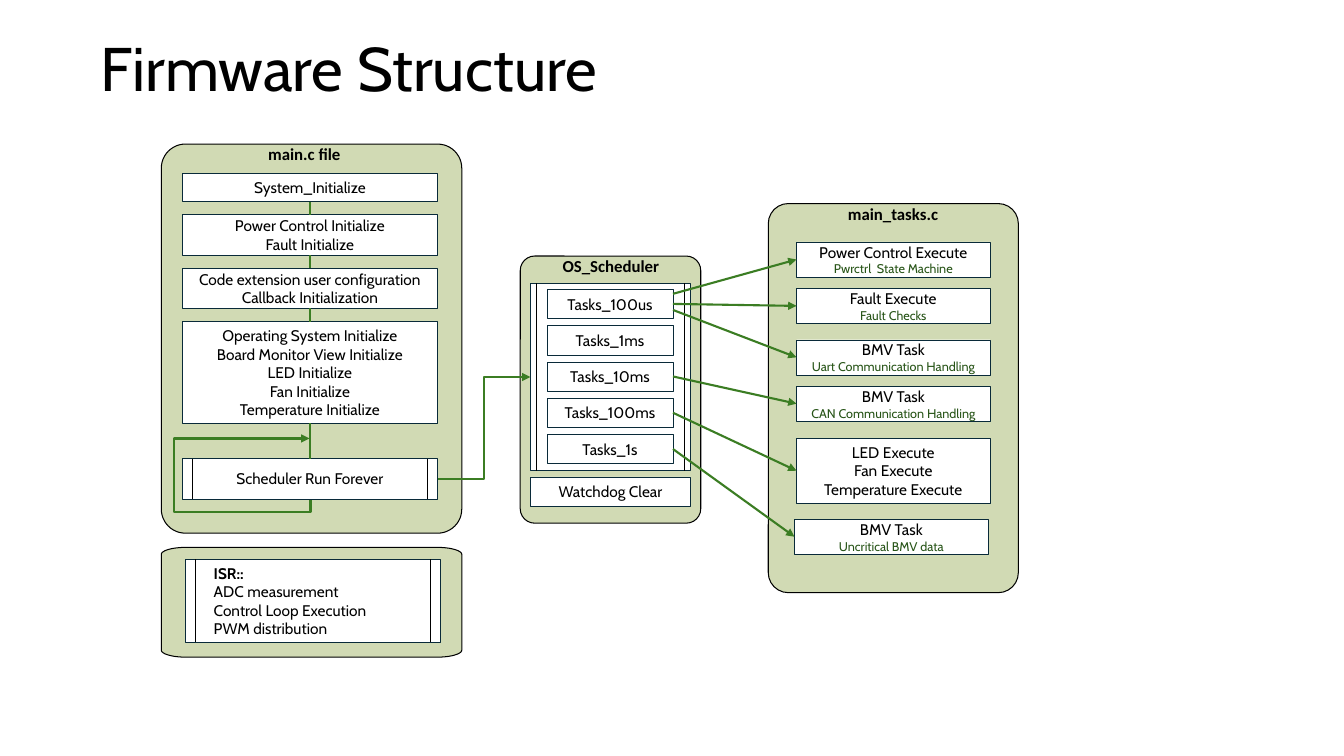
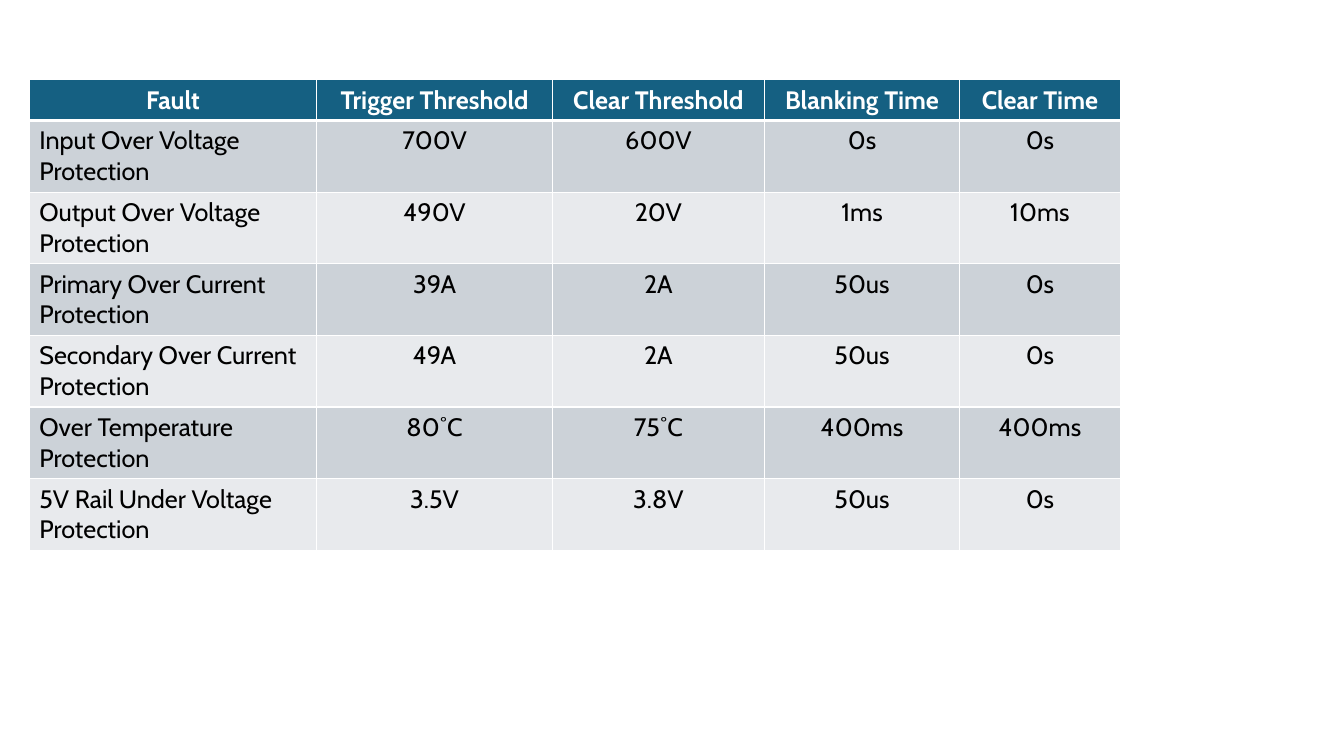
from collections import namedtuple
from itertools import pairwise
from math import cos, pi, sin

from lxml.etree import SubElement as Sub
from pptx import Presentation
from pptx.dml.color import RGBColor as RGB
from pptx.enum.shapes import MSO_CONNECTOR as Wire
from pptx.enum.shapes import MSO_SHAPE as Form
from pptx.enum.text import MSO_ANCHOR as Anchor
from pptx.enum.text import PP_ALIGN as Align
from pptx.oxml.ns import qn
from pptx.util import Inches as In
from pptx.util import Pt

Theme = namedtuple(
    "Theme",
    "black white panel edge green note head bands font label big cell name body small",
)
T = Theme(
    black="000000", white="FFFFFF", panel="D1DAB4", edge="092A39",
    green="3B7D23", note="275417", head="156082", bands=("CCD2D8", "E8EAED"),
    font="Cabin", label="Calibri", big=44, cell=18, name=12, body=11, small=9,
)
SUB = {"size": T.small, "color": T.note}


def write(frame, lines, **fmt):
    """Fill a text frame; a line is text or a pair of text and its own format."""
    for i, line in enumerate(lines):
        text, own = (line, {}) if isinstance(line, str) else line
        look = {**fmt, **own}
        par = frame.paragraphs[0] if i == 0 else frame.add_paragraph()
        par.alignment = look.get("align", Align.CENTER)
        par.line_spacing = look.get("space")
        run = par.add_run()
        run.text = text
        font = run.font
        font.name = look.get("face", T.font)
        font.size = Pt(look.get("size", T.body))
        font.bold = look.get("bold", False)
        font.color.rgb = RGB.from_string(look.get("color", T.black))


def note(slide, x, y, w, h, lines, anchor=Anchor.TOP, inset=0, **fmt):
    """Add a wrapped text box."""
    frame = slide.shapes.add_textbox(In(x), In(y), In(w), In(h)).text_frame
    frame.word_wrap = True
    frame.vertical_anchor = anchor
    frame.margin_left = frame.margin_right = In(inset)
    frame.margin_top = frame.margin_bottom = In(inset / 2)
    write(frame, lines, **fmt)


def paint(shape, fill, line, width):
    """Give a shape a flat fill and outline."""
    shape.shadow.inherit = False
    shape.fill.solid()
    shape.fill.fore_color.rgb = RGB.from_string(fill)
    shape.line.color.rgb = RGB.from_string(line)
    shape.line.width = Pt(width)


def box(slide, x, y, w, h, lines=(), left=0.1, **fmt):
    """Add a white step box."""
    shape = slide.shapes.add_shape(Form.RECTANGLE, In(x), In(y), In(w), In(h))
    paint(shape, T.white, T.edge, 0.25)
    frame = shape.text_frame
    frame.word_wrap = True
    frame.vertical_anchor = Anchor.MIDDLE
    frame.margin_left = In(left)
    write(frame, lines, **fmt)
    return shape


def style(wire, color, width, arrow=False):
    """Colour a connector and drop its shadow."""
    wire.line.color.rgb = RGB.from_string(color)
    wire.line.width = Pt(width)
    props = wire._element.spPr
    if arrow:
        Sub(props.find(qn("a:ln")), qn("a:tailEnd"), type="triangle")
    Sub(props, qn("a:effectLst"))


def process(slide, x, y, w, h, lines=(), bar=0.1, **fmt):
    """Add a step box with a bar inside each end."""
    shape = box(slide, x, y, w, h, lines, **fmt)
    for at in (x + bar, x + w - bar):
        wire = slide.shapes.add_connector(
            Wire.STRAIGHT, In(at), In(y), In(at), In(y + h))
        style(wire, T.black, 0.25)
    return shape


def link(slide, a, b, sides=(3, 1), kind=Wire.STRAIGHT, arrow=True, shift=0):
    """Join two shapes; a shift moves the start off the middle of the right side."""
    x, y = a.left + a.width, a.top + a.height // 2 + In(shift)
    wire = slide.shapes.add_connector(kind, x, y, b.left, b.top)
    if not shift:
        wire.begin_connect(a, sides[0])
    wire.end_connect(b, sides[1])
    style(wire, T.green, 1.5, arrow)


def loop(slide, x, low, high):
    """Draw the return arrow that leaves below and comes back above on the left."""
    rise, run = low - high, 0.01
    mid = (low + high) / 2
    wire = slide.shapes.add_connector(
        Wire.ELBOW, In(x - rise / 2), In(mid - run / 2),
        In(x + rise / 2), In(mid + run / 2))
    props = wire._element.spPr
    frame = props.find(qn("a:xfrm"))
    frame.set("rot", "5400000")
    frame.set("flipH", "1")
    geom = props.find(qn("a:prstGeom"))
    geom.set("prst", "bentConnector5")
    guides = geom.find(qn("a:avLst"))
    if guides is None:
        guides = Sub(geom, qn("a:avLst"))
    for i, part in enumerate((-0.12 / rise, 1.38 / run, 1), 1):
        Sub(guides, qn("a:gd"), name=f"adj{i}", fmla=f"val {round(part * 100000)}")
    style(wire, T.green, 1.5, True)


def panel(slide, x, y, w, h, name, dx):
    """Add a rounded green panel with its name at the top."""
    shape = slide.shapes.add_shape(
        Form.ROUNDED_RECTANGLE, In(x), In(y), In(w), In(h))
    shape.adjustments[0] = 0.08
    paint(shape, T.panel, T.black, 0)
    note(slide, x + dx, y, w - dx, 0.2, [name], align=Align.LEFT,
         face=T.label, size=T.name, bold=True)


def main_file(slide, x, y):
    """Draw the start-up chain and return its last step."""
    panel(slide, x, y, 2.98, 3.86, "main.c file", 1.06)
    left, wide, gap, top = x + 0.21, 2.53, 0.13, y + 0.29
    steps = [
        (0.28, ["System_Initialize"]),
        (0.4, ["Power Control Initialize", "Fault Initialize"]),
        (0.4, ["Code extension user configuration", "Callback Initialization"]),
        (1.01, ["Operating System Initialize", "Board Monitor View Initialize",
                "LED Initialize", "Fan Initialize", "Temperature Initialize"]),
    ]
    chain = []
    for tall, lines in steps:
        chain.append(box(slide, left, top, wide, tall, lines))
        top += tall + gap
    last = process(slide, left, y + 3.12, wide, 0.4, ["Scheduler Run Forever"])
    for a, b in pairwise(chain + [last]):
        link(slide, a, b, (2, 0), arrow=False)
    loop(slide, x + 1.475, y + 3.53, y + 2.92)
    return last


def scheduler(slide, x, y):
    """Draw the scheduler and return its frame and its task slots."""
    panel(slide, x, y, 1.79, 2.65, "OS_Scheduler", 0.42)
    frame = process(slide, x + 0.1, y + 0.27, 1.59, 1.86, bar=0.06)
    names = ("100us", "1ms", "10ms", "100ms", "1s")
    slots = [box(slide, x + 0.265, y + 0.33 + 0.36 * i, 1.25, 0.29, [f"Tasks_{name}"])
             for i, name in enumerate(names)]
    box(slide, x + 0.1, y + 2.19, 1.59, 0.29, ["Watchdog Clear"])
    return frame, slots


def tasks(slide, x, y):
    """Draw the task list and return its boxes."""
    panel(slide, x, y, 2.48, 3.86, "main_tasks.c", 0.79)
    items = [
        (0.28, 0.38, 0.35, ["Power Control Execute", ("Pwrctrl  State Machine", SUB)]),
        (0.28, 0.84, 0.35, ["Fault Execute", ("Fault Checks", SUB)]),
        (0.28, 1.35, 0.35, ["BMV Task", ("Uart Communication Handling", SUB)]),
        (0.28, 1.81, 0.35, ["BMV Task", ("CAN Communication Handling", SUB)]),
        (0.28, 2.33, 0.64, ["LED Execute", "Fan Execute", "Temperature Execute"]),
        (0.26, 3.13, 0.35, ["BMV Task", ("Uncritical BMV data", SUB)]),
    ]
    return [box(slide, x + dx, y + dy, 1.92, tall, lines)
            for dx, dy, tall, lines in items]


def interrupt(slide, x, y, w=2.98, h=1.09):
    """Draw the interrupt panel, whose corners are flat ellipses."""
    rx, ry, steps = 0.25, 0.07, 12
    spots = []
    for turn, (cx, cy) in enumerate(
            ((x + w - rx, y + h - ry), (x + rx, y + h - ry),
             (x + rx, y + ry), (x + w - rx, y + ry))):
        for i in range(steps + 1):
            angle = (turn + i / steps) * pi / 2
            spots.append((In(cx + rx * cos(angle)), In(cy + ry * sin(angle))))
    pen = slide.shapes.build_freeform(*spots[0])
    pen.add_line_segments(spots[1:])
    paint(pen.convert_to_shape(), T.panel, T.black, 0)
    process(slide, x + 0.24, y + 0.12, 2.53, 0.82,
            [("ISR::", {"bold": True}), "ADC measurement",
             "Control Loop Execution", "PWM distribution"],
            left=0.28, align=Align.LEFT)


def firmware(slide):
    """Build the firmware structure slide."""
    note(slide, 0.9, -0.02, 11.5, 1.45, ["Firmware Structure"], Anchor.MIDDLE, 0.1,
         size=T.big, align=Align.LEFT, space=0.9)
    last = main_file(slide, 1.6, 1.43)
    frame, slots = scheduler(slide, 5.16, 2.54)
    jobs = tasks(slide, 7.62, 2.02)
    link(slide, last, frame, kind=Wire.ELBOW)
    starts = ((0, -0.1), (0, 0), (0, 0.06), (2, 0), (3, 0), (4, 0))
    for (slot, shift), job in zip(starts, jobs):
        link(slide, slots[slot], job, shift=shift)
    interrupt(slide, 1.6, 5.43)


def border(cell, **widths):
    """Give a cell white borders, 1 point unless a side says otherwise."""
    props = cell._tc.get_or_add_tcPr()
    for side in "LRTB":
        line = Sub(props, qn(f"a:ln{side}"), w=str(Pt(widths.get(side, 1))))
        Sub(Sub(line, qn("a:solidFill")), qn("a:srgbClr"), val=T.white)


def faults(slide, x=0.29, y=0.79):
    """Build the fault table slide."""
    rows = [
        ("Fault", "Trigger Threshold", "Clear Threshold", "Blanking Time", "Clear Time"),
        ("Input Over Voltage Protection", "700V", "600V", "0s", "0s"),
        ("Output Over Voltage Protection", "490V", "20V", "1ms", "10ms"),
        ("Primary Over Current Protection", "39A", "2A", "50us", "0s"),
        ("Secondary Over Current Protection", "49A", "2A", "50us", "0s"),
        ("Over Temperature Protection", "80˚C", "75˚C", "400ms", "400ms"),
        ("5V Rail Under Voltage\nProtection", "3.5V", "3.8V", "50us", "0s"),
    ]
    cols = (2.85, 2.34, 2.1, 1.94, 1.59)
    grid = slide.shapes.add_table(
        len(rows), len(cols), In(x), In(y), In(sum(cols)), In(4.6)).table
    grid.first_row = True
    grid.horz_banding = False
    for col, wide in zip(grid.columns, cols):
        col.width = In(wide)
    for r, row in enumerate(rows):
        head = r == 0
        grid.rows[r].height = In(0.4 if head else 0.7)
        for c, text in enumerate(row):
            cell = grid.cell(r, c)
            border(cell, T=3 if r == 1 else 1, B=3 if head else 1)
            cell.fill.solid()
            cell.fill.fore_color.rgb = RGB.from_string(
                T.head if head else T.bands[(r - 1) % 2])
            write(cell.text_frame, text.split("\n"), size=T.cell, bold=head,
                  color=T.white if head else T.black,
                  align=Align.CENTER if head or c else Align.LEFT)


def main():
    """Build and save the deck."""
    deck = Presentation()
    deck.slide_width, deck.slide_height = In(13.33), In(7.5)
    for build in (firmware, faults):
        build(deck.slides.add_slide(deck.slide_layouts[6]))
    deck.save("out.pptx")


if __name__ == "__main__":
    main()
